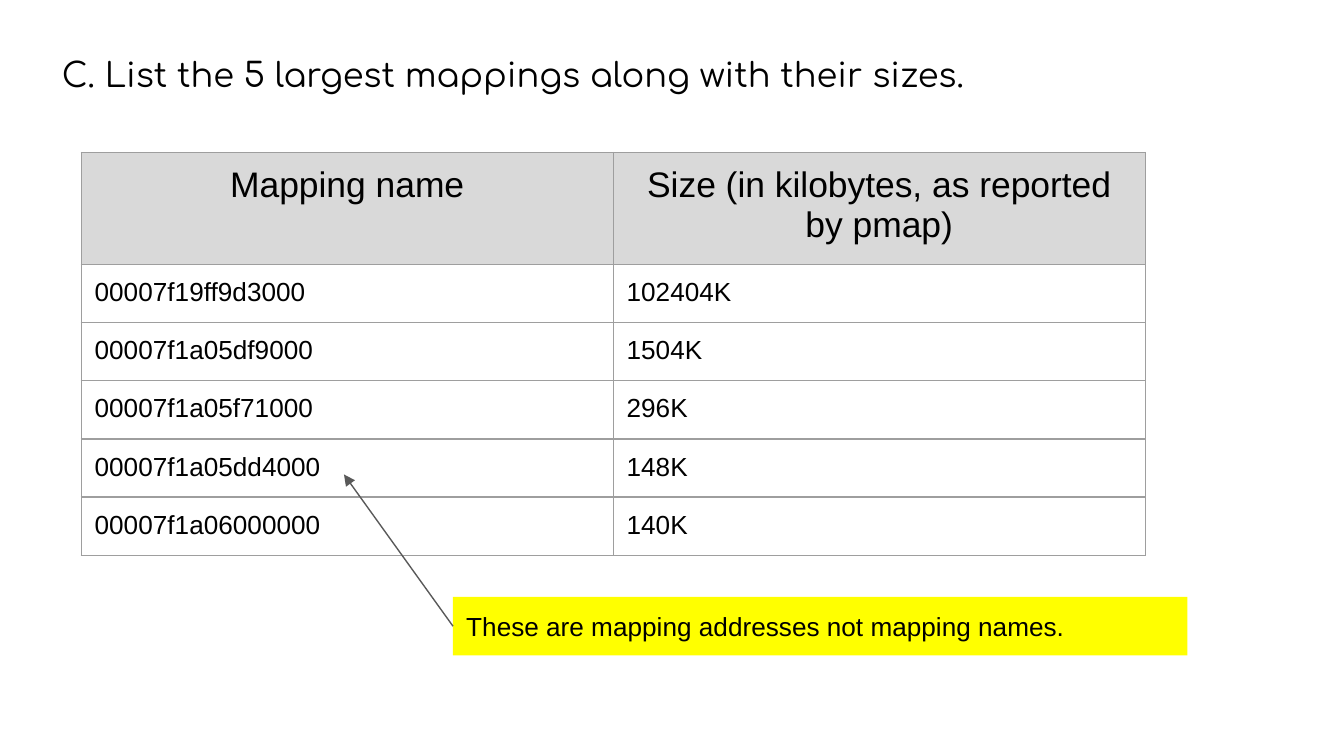
import pptx
import pptx.util
import pptx.dml.color
import pptx.enum.shapes
import pptx.enum.text
import pptx.oxml
import pptx.oxml.ns
from lxml import etree

Pt = pptx.util.Pt
ALIGN = pptx.enum.text.PP_ALIGN
ANCHOR = pptx.enum.text.MSO_ANCHOR

COLORS = {
    "text": "000000",
    "header": "D9D9D9",
    "border": "9E9E9E",
    "highlight": "FFFF00",
    "arrow": "595959",
}
HEADING = "C. List the 5 largest mappings along with their sizes."
HEADER = ("Mapping name", "Size (in kilobytes, as reported by pmap)")
MAPPINGS = [
    ("00007f19ff9d3000", "102404K"),
    ("00007f1a05df9000", "1504K"),
    ("00007f1a05f71000", "296K"),
    ("00007f1a05dd4000", "148K"),
    ("00007f1a06000000", "140K"),
]
REMARK = "These are mapping addresses not mapping names."

INSET = 7.2
COLUMN_WIDTH = 285
HEADER_HEIGHT = 60
ROW_HEIGHT = 31.2


def rgb(name):
    return pptx.dml.color.RGBColor.from_string(COLORS[name])


def write(frame, text, size=14, font="Arial", align=ALIGN.LEFT, spacing=1.0):
    paragraph = frame.paragraphs[0]
    paragraph.alignment = align
    paragraph.line_spacing = spacing
    run = paragraph.add_run()
    run.text = text
    run.font.size = Pt(size)
    run.font.name = font
    run.font.bold = False
    run.font.color.rgb = rgb("text")


def set_insets(holder):
    holder.margin_left = holder.margin_right = Pt(INSET)
    holder.margin_top = holder.margin_bottom = Pt(INSET)
    holder.vertical_anchor = ANCHOR.TOP


def set_borders(cell):
    properties = cell._tc.get_or_add_tcPr()
    for index, side in enumerate(("lnL", "lnR", "lnT", "lnB")):
        border = pptx.oxml.parse_xml(
            f'<a:{side} {pptx.oxml.ns.nsdecls("a")} w="{Pt(0.75)}">'
            f'<a:solidFill><a:srgbClr val="{COLORS["border"]}"/></a:solidFill>'
            f'</a:{side}>'
        )
        properties.insert(index, border)


deck = pptx.Presentation()
deck.slide_width, deck.slide_height = Pt(720), Pt(405)
slide = deck.slides.add_slide(deck.slide_layouts[5])

heading = slide.shapes.title
heading.left, heading.top = Pt(25.9), Pt(18.7)
heading.width, heading.height = Pt(656.6), Pt(36)
set_insets(heading.text_frame)
heading.text_frame.word_wrap = True
heading.text_frame.auto_size = pptx.enum.text.MSO_AUTO_SIZE.NONE
write(heading.text_frame, HEADING, size=18, font="Comfortaa", spacing=1.15)

rows = [HEADER] + MAPPINGS
mappings = slide.shapes.add_table(
    len(rows), len(HEADER), Pt(43.5), Pt(81.6),
    Pt(COLUMN_WIDTH * len(HEADER)), Pt(HEADER_HEIGHT + ROW_HEIGHT * len(MAPPINGS)),
).table
mappings.first_row = mappings.horz_banding = False
for column in mappings.columns:
    column.width = Pt(COLUMN_WIDTH)
for row_index, values in enumerate(rows):
    is_header = row_index == 0
    mappings.rows[row_index].height = Pt(HEADER_HEIGHT if is_header else ROW_HEIGHT)
    for column_index, value in enumerate(values):
        cell = mappings.cell(row_index, column_index)
        set_insets(cell)
        if is_header:
            cell.fill.solid()
            cell.fill.fore_color.rgb = rgb("header")
            write(cell.text_frame, value, size=19, align=ALIGN.CENTER)
        else:
            cell.fill.background()
            write(cell.text_frame, value)
        set_borders(cell)

remark = slide.shapes.add_shape(
    pptx.enum.shapes.MSO_SHAPE.RECTANGLE, Pt(242.7), Pt(319.8), Pt(393.4), Pt(31.4))
remark.shadow.inherit = False
remark.fill.solid()
remark.fill.fore_color.rgb = rgb("highlight")
remark.line.fill.background()
set_insets(remark.text_frame)
remark.text_frame.word_wrap = True
write(remark.text_frame, REMARK)

pointer = slide.shapes.add_connector(
    pptx.enum.shapes.MSO_CONNECTOR.STRAIGHT, Pt(242.7), Pt(335.5), Pt(184.3), Pt(254.2))
pointer.begin_connect(remark, 1)
pointer.line.color.rgb = rgb("arrow")
pointer.line.width = Pt(0.75)
etree.SubElement(pointer.line._get_or_add_ln(), pptx.oxml.ns.qn("a:tailEnd"),
                 type="triangle", w="med", len="med")
etree.SubElement(pointer._element.spPr, pptx.oxml.ns.qn("a:effectLst"))

deck.save("out.pptx")
